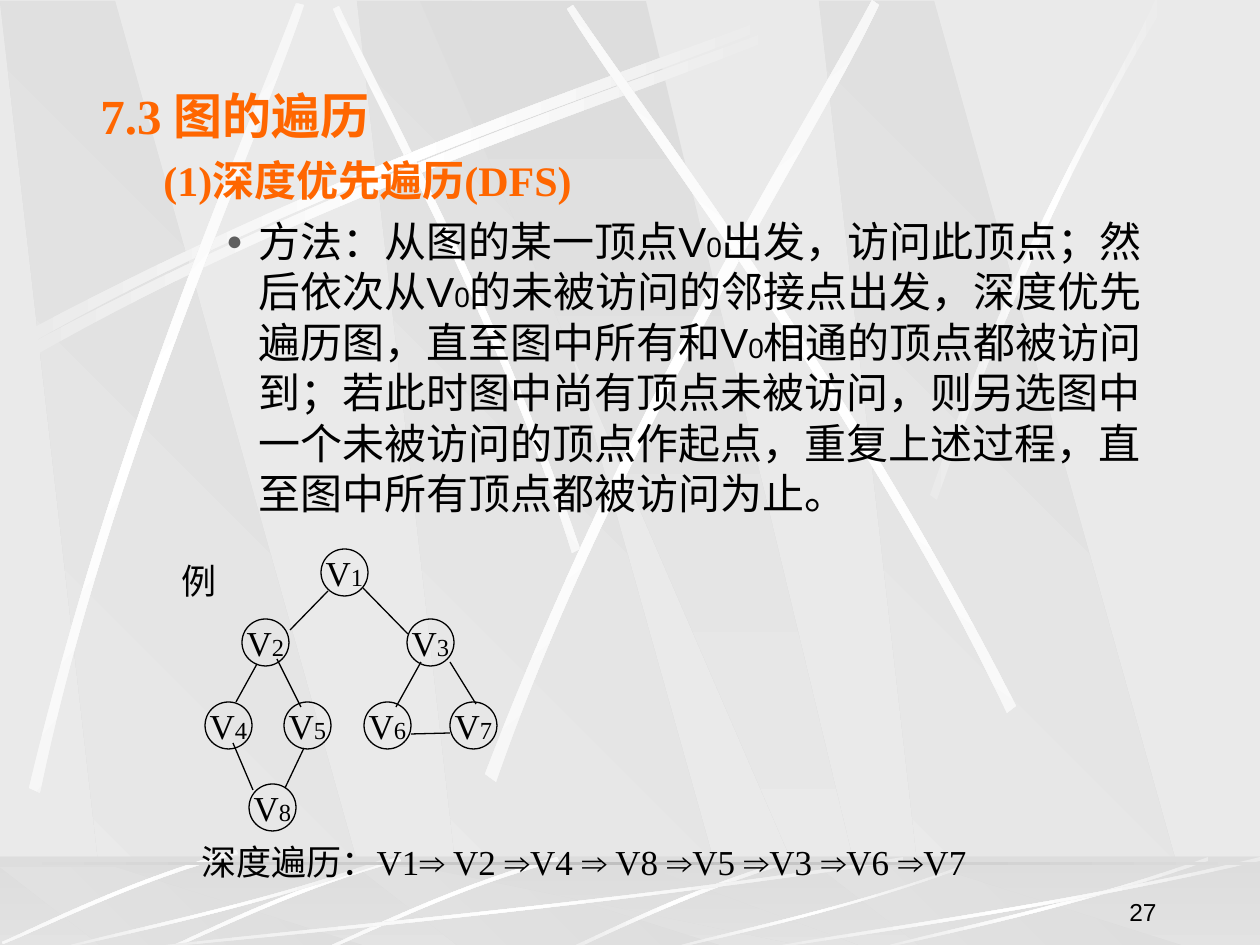
"""Build the slide on depth-first traversal of a graph."""
from dataclasses import dataclass

from lxml import etree
from pptx import Presentation
from pptx.dml.color import RGBColor as Rgb
from pptx.enum.shapes import MSO_CONNECTOR as Conn, MSO_SHAPE as Kind
from pptx.enum.text import MSO_ANCHOR as Anchor, PP_ALIGN as Align
from pptx.oxml import parse_xml
from pptx.oxml.ns import qn
from pptx.util import Pt


@dataclass(frozen=True)
class Theme:
    pale: str = "EAEAEA"
    grey: str = "DDDDDD"
    mid: str = "C0C0C0"
    white: str = "FFFFFF"
    ink: str = "000000"
    head: str = "FF6600"
    dot: str = "5F5F5F"
    serif: str = "Times New Roman"
    sans: str = "Arial"
    title: int = 28
    body: int = 24
    label: int = 20
    sub: int = 16
    small: int = 14


T = Theme()
PX = 914400 / 126
WIDE, HIGH = 1260, 945
NS = "http://schemas.openxmlformats.org/drawingml/2006/main"

HEADS = [("7.3 图的遍历", T.title, 48, -48, 0), ("(1)深度优先遍历(DFS)", T.body, 102, -39, 6)]
METHOD = ["方法：从图的某一顶点V", "出发，访问此顶点；然后依次从V",
          "的未被访问的邻接点出发，深度优先遍历图，直至图中所有和V",
          "相通的顶点都被访问到；若此时图中尚有顶点未被访问，则另选图中一个未被访问的顶点作起点，"
          "重复上述过程，直至图中所有顶点都被访问为止。"]
ORDER = ["深度遍历：V1", " V2 ", "V4 ", " V8 ", "V5 ", "V3 ", "V6 ", "V7"]
NODES = {"1": (321, 549), "2": (242, 619), "4": (205, 702), "5": (284, 702),
         "3": (407, 619), "7": (450, 702), "6": (364, 702), "8": (249, 784)}
EDGES = [(328, 591, 290, 630), (363, 588, 408, 634), (257, 664, 236, 702),
         (277, 659, 301, 707), (233, 743, 253, 790), (304, 748, 285, 788),
         (421, 662, 396, 707), (411, 734, 450, 733), (450, 662, 476, 704)]

SLABS = [357, 0, 819]
SLAB = [(108, 1), (381, 1), (115, 0), (0, 0)]
BEAM = [(420, 0), (829, 1), (874, 1), (646, 0)]
LONG = [(18, 336), (350, 158), (653, 64), (781, 13),
        (785, 20), (658, 77), (312, 180), (21, 349)]
RAYS = [
    (135, [(580, 549), (493, 295), (381, 97), (339, 6),
           (333, 9), (372, 100), (501, 325), (572, 553)]),
    (0, LONG),
    (42, [(29, 788), (117, 421), (248, 132), (296, 3),
          (304, 5), (261, 136), (108, 464), (40, 793)]),
    (52, [(485, 774), (627, 403), (804, 129), (872, 0),
          (879, 5), (818, 136), (612, 447), (496, 782)]),
    (125, [(1016, 706), (844, 369), (650, 120), (573, 5),
           (567, 9), (639, 127), (863, 410), (1007, 713)]),
    (0, [(930, 495), (1026, 218), (1119, 83), (1155, 0),
         (1168, 0), (1053, 183), (969, 406), (937, 500)]),
]
FLARE = [(790, 859), (677, 893), (601, 935), (564, 950),
         (571, 951), (617, 929), (719, 882), (791, 863)]
STREAK = [(557, 857), (447, 888), (362, 932), (323, 949),
          (324, 951), (363, 936), (460, 886), (559, 861)]
SHIFTS = [(0, 0), (-158, 0), (-321, -7)]
SWEEP = [(1, 0.04), (0.57, 0.57), (0.17, 0.85), (0, 1),
         (0, 0.99), (0.16, 0.81), (0.62, 0.51), (1, 0)]
SWEEPS = [(126, 857, 777, 94), (53, 857, 336, 94), (664, 868, 291, 83),
          (872, 857, 336, 94), (756, 857, 504, 94)]

DIM = [T.grey, T.pale]
GLOW = [T.pale, T.white, T.pale]
EDGE = [T.grey, T.mid, T.grey]

deck = Presentation()
deck.slide_width, deck.slide_height = round(WIDE * PX), round(HIGH * PX)
slide = deck.slides.add_slide(deck.slide_layouts[6])
slide.background.fill.solid()
slide.background.fill.fore_color.rgb = Rgb.from_string(T.pale)
shapes = slide.shapes


def emu(*vals):
    return [round(v * PX) for v in vals]


def shade(shape, hues, angle):
    shape.shadow.inherit = False
    shape.line.fill.background()
    shape.fill.solid()
    stops = "".join(f'<a:gs pos="{100000 * i // (len(hues) - 1)}"><a:srgbClr val="{hue}"/></a:gs>'
                    for i, hue in enumerate(hues))
    grad = parse_xml(f'<a:gradFill xmlns:a="{NS}" rotWithShape="1"><a:gsLst>{stops}</a:gsLst>'
                     f'<a:lin ang="{angle * 60000}" scaled="0"/></a:gradFill>')
    old = shape._element.spPr.find(qn("a:solidFill"))
    old.getparent().replace(old, grad)


def outline(pts, hues, angle):
    pen = shapes.build_freeform(*pts[0], scale=PX)
    pen.add_line_segments(pts[1:], close=True)
    shape = pen.convert_to_shape()
    shade(shape, hues, angle)
    return shape


def ribbon(pts, turn=0, dx=0, dy=0):
    shape = outline([(x + dx, y + dy) for x, y in pts], GLOW, 180 + turn)
    lines = shape._element.findall(".//" + qn("a:lnTo"))
    for trio in (lines[:3], lines[4:7]):
        bend = etree.Element(qn("a:cubicBezTo"))
        trio[0].addprevious(bend)
        for line in trio:
            bend.append(line[0])
            line.getparent().remove(line)


def columns(top, low):
    for pts, dx, angle in [*((SLAB, dx, 135) for dx in SLABS), (BEAM, 0, 90)]:
        outline([(x + dx, low if y else top) for x, y in pts], DIM, angle)


def bar(top, tall):
    return shapes.add_shape(Kind.RECTANGLE, *emu(0, top, WIDE, tall))


def style(para, face, hue=T.ink, size=None, bold=False):
    para.font.name, para.font.bold = face, bold
    para.font.color.rgb = Rgb.from_string(hue)
    if size:
        para.font.size = Pt(size)


def write(para, text, size=None, face=None):
    run = para.add_run()
    run.text = text
    if size:
        run.font.size = Pt(size)
    if face:
        run.font.name = face


def box(area, wrap=False, anchor=Anchor.TOP):
    frame = shapes.add_textbox(*emu(*area)).text_frame
    frame.word_wrap, frame.vertical_anchor = wrap, anchor
    return frame


def indent(para, level, left, hang, gap):
    para.level, para.space_before = level, Pt(gap)
    props = para._p.get_or_add_pPr()
    for key, val in zip(("marL", "indent"), emu(left, hang)):
        props.set(key, str(val))
    return props


columns(1, 947)
ribbon(LONG, 0, 8, 10)
for turn, pts in RAYS:
    ribbon(pts, turn)
shade(bar(857, 94), DIM, 90)
columns(867, 951)
veil = bar(856, 94)
veil.shadow.inherit = False
veil.line.fill.background()
veil.fill.solid()
veil.fill.fore_color.rgb = Rgb.from_string(T.grey)
etree.SubElement(veil._element.spPr.find(".//" + qn("a:srgbClr")), qn("a:alpha"), val="50000")
ribbon(FLARE)
for dx, dy in SHIFTS:
    ribbon(STREAK, 45, dx, dy)
for x, y, w, h in SWEEPS:
    ribbon([(x + w * u, y + h * v) for u, v in SWEEP])
shade(bar(862, 3), EDGE, 180)

frame = box((88, 79, 1091, 471), wrap=True)
for level, (text, size, left, hang, gap) in enumerate(HEADS):
    para = frame.add_paragraph() if level else frame.paragraphs[0]
    indent(para, level, left, hang, gap)
    style(para, T.serif, T.head, size, True)
    write(para, text)
para = frame.add_paragraph()
props = indent(para, 2, 158, -32, 6)
etree.SubElement(etree.SubElement(props, qn("a:buClr")), qn("a:srgbClr"), val=T.dot)
etree.SubElement(props, qn("a:buSzPct"), val="65000")
etree.SubElement(props, qn("a:buFont"), typeface=T.sans)
etree.SubElement(props, qn("a:buChar"), char="●")
style(para, T.sans)
for i, part in enumerate(METHOD):
    if i:
        write(para, "0", T.sub)
    write(para, part, T.body)

for digit, spot in NODES.items():
    node = shapes.add_shape(Kind.OVAL, *emu(*spot, 47, 47))
    node.shadow.inherit = False
    node.fill.background()
    node.line.color.rgb, node.line.width = Rgb.from_string(T.ink), Pt(0.75)
    node.text_frame.word_wrap = False
    para = node.text_frame.paragraphs[0]
    para.alignment = Align.CENTER
    style(para, T.serif)
    write(para, "V", T.label)
    write(para, digit, T.small)
for ends in EDGES:
    edge = shapes.add_connector(Conn.STRAIGHT, *emu(*ends))
    edge.line.color.rgb, edge.line.width = Rgb.from_string(T.ink), Pt(0.75)
    etree.SubElement(edge._element.spPr, qn("a:effectLst"))

para = box((169, 553, 60, 55), anchor=Anchor.MIDDLE).paragraphs[0]
para.alignment = Align.CENTER
style(para, T.serif, size=T.label)
write(para, "例")
para = box((189, 834, 818, 55)).paragraphs[0]
style(para, T.serif, size=T.label)
for i, stop in enumerate(ORDER):
    if i:
        write(para, "⇒", face=T.sans)
    write(para, stop)
para = box((907, 870, 262, 63), True, Anchor.BOTTOM).paragraphs[0]
para.alignment = Align.RIGHT
style(para, T.sans, size=T.small)
write(para, "27")
deck.save("out.pptx")
